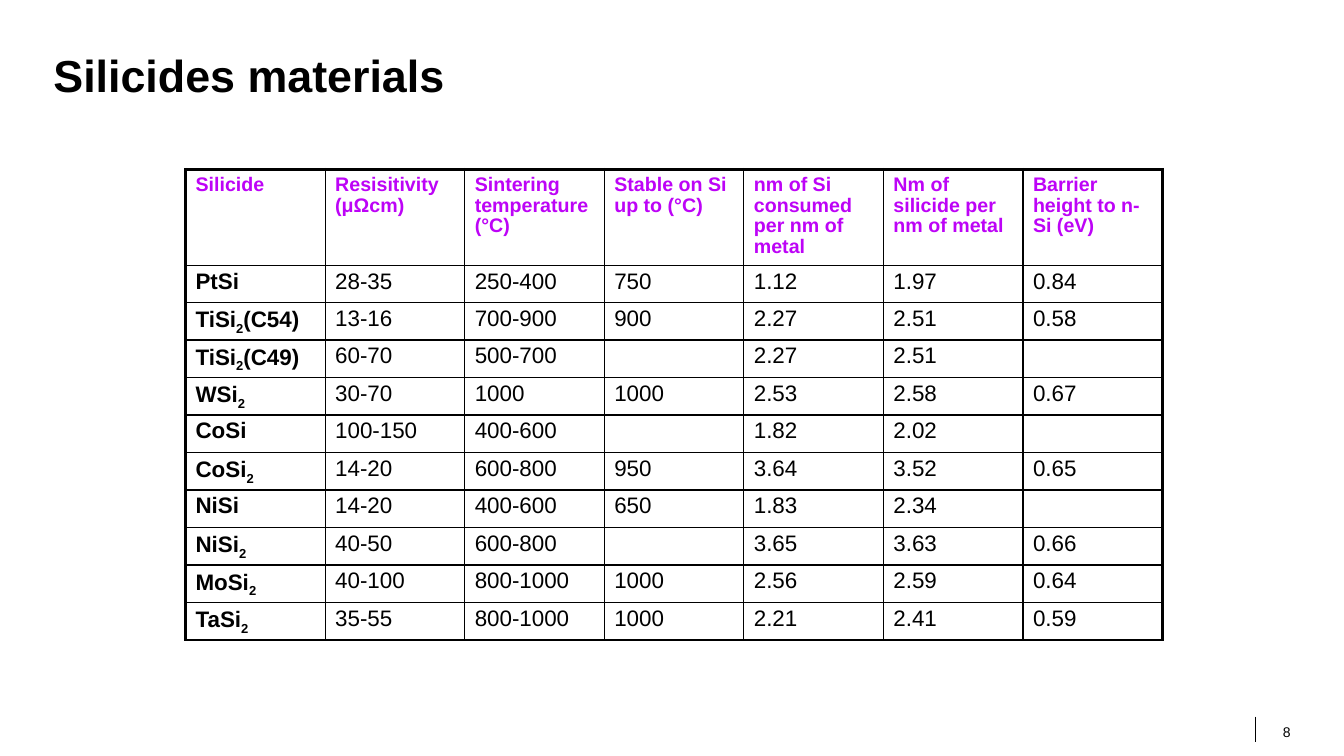
from lxml import etree
from pptx import Presentation
from pptx import util as u
from pptx.dml.color import RGBColor
from pptx.enum import shapes, text
from pptx.oxml.ns import qn

COLORS = {"ink": "000000", "header": "BD03F7"}
FONT = "Arial"

HEADERS = ["Silicide", "Resisitivity (μΩcm)", "Sintering temperature (°C)",
           "Stable on Si up to (°C)", "nm of Si consumed per nm of metal",
           "Nm of silicide per nm of metal", "Barrier height to n-Si (eV)"]
SILICIDES = [
    ["PtSi", "28-35", "250-400", "750", "1.12", "1.97", "0.84"],
    ["TiSi_2_(C54)", "13-16", "700-900", "900", "2.27", "2.51", "0.58"],
    ["TiSi_2_(C49)", "60-70", "500-700", "", "2.27", "2.51", ""],
    ["WSi_2", "30-70", "1000", "1000", "2.53", "2.58", "0.67"],
    ["CoSi", "100-150", "400-600", "", "1.82", "2.02", ""],
    ["CoSi_2", "14-20", "600-800", "950", "3.64", "3.52", "0.65"],
    ["NiSi", "14-20", "400-600", "650", "1.83", "2.34", ""],
    ["NiSi_2", "40-50", "600-800", "", "3.65", "3.63", "0.66"],
    ["MoSi_2", "40-100", "800-1000", "1000", "2.56", "2.59", "0.64"],
    ["TaSi_2", "35-55", "800-1000", "1000", "2.21", "2.41", "0.59"],
]


def write(tf, content, size=16, color="ink", bold=False, spacing=1.0, align=None):
    p = tf.paragraphs[0]
    p.line_spacing = spacing
    p.space_before = u.Pt(0)
    if align is not None:
        p.alignment = align
    if not content:
        p._p.get_or_add_endParaRPr().set("sz", str(size * 100))
        return
    for i, part in enumerate(content.split("_")):
        if not part:
            continue
        r = p.add_run()
        r.text = part
        r.font.name = FONT
        r.font.size = u.Pt(size)
        r.font.bold = bold
        r.font.color.rgb = RGBColor.from_string(COLORS[color])
        if i % 2:
            r.font._element.set("baseline", "-25000")


class SlideBuilder:
    thin, thick = 1, 2.25

    def __init__(self, prs):
        self.s = prs.slides.add_slide(prs.slide_layouts[5])

    def frame(self, tf, anchor):
        tf.margin_left = tf.margin_top = tf.margin_right = tf.margin_bottom = 0
        tf.auto_size = text.MSO_AUTO_SIZE.NONE
        tf.vertical_anchor = anchor

    def title(self, content, x, y, w, h):
        sp = self.s.shapes.title
        sp.left, sp.top, sp.width, sp.height = map(u.Inches, (x, y, w, h))
        self.frame(sp.text_frame, text.MSO_ANCHOR.TOP)
        write(sp.text_frame, content, size=32, bold=True, spacing=0.9,
              align=text.PP_ALIGN.LEFT)

    def label(self, content, x, y, w, h):
        sp = self.s.shapes.add_textbox(*map(u.Inches, (x, y, w, h)))
        self.frame(sp.text_frame, text.MSO_ANCHOR.BOTTOM)
        write(sp.text_frame, content, size=10, align=text.PP_ALIGN.RIGHT)

    def line(self, x1, y1, x2, y2, width):
        sp = self.s.shapes.add_connector(
            shapes.MSO_CONNECTOR.STRAIGHT, *map(u.Inches, (x1, y1, x2, y2)))
        sp.line.color.rgb = RGBColor.from_string(COLORS["ink"])
        sp.line.width = u.Pt(width)
        etree.SubElement(sp._element.spPr, qn("a:effectLst"))

    def border(self, cell, side, width):
        tc_pr = cell._tc.get_or_add_tcPr()
        ln = etree.SubElement(tc_pr, qn("a:ln" + side), w=str(u.Pt(width)))
        fill = etree.SubElement(ln, qn("a:solidFill"))
        etree.SubElement(fill, qn("a:srgbClr"), val=COLORS["ink"])

    def table(self, rows, x, y, w, h, header_h):
        n_rows, n_cols = len(rows), len(rows[0])
        table = self.s.shapes.add_table(
            n_rows, n_cols, *map(u.Inches, (x, y, w, h))).table
        table.first_row = table.horz_banding = False
        for col in table.columns:
            col.width = u.Inches(w / n_cols)
        for i, row in enumerate(rows):
            table.rows[i].height = u.Inches(
                (h - header_h) / (n_rows - 1) if i else header_h)
            for j, content in enumerate(row):
                cell = table.cell(i, j)
                outer = {"L": j == 0, "R": j == n_cols - 1,
                         "T": i == 0, "B": i == n_rows - 1}
                for side, is_outer in outer.items():
                    self.border(cell, side, self.thick if is_outer else self.thin)
                cell.fill.background()
                write(cell.text_frame, content, size=16 if i else 14,
                      color="ink" if i else "header",
                      bold=i == 0 or j == 0, spacing=0.95)


def main():
    prs = Presentation()
    prs.slide_width, prs.slide_height = u.Inches(13.33), u.Inches(7.5)
    slide = SlideBuilder(prs)
    slide.line(12.45, 7.11, 12.45, 7.36, width=0.5)
    slide.label("8", 12.55, 7.14, 0.25, 0.2)
    slide.title("Silicides materials", 0.53, 0.53, 12.27, 0.58)
    slide.table([HEADERS] + SILICIDES, 1.84, 1.68, 9.69, 4.67, header_h=0.95)
    prs.save("out.pptx")


if __name__ == "__main__":
    main()
